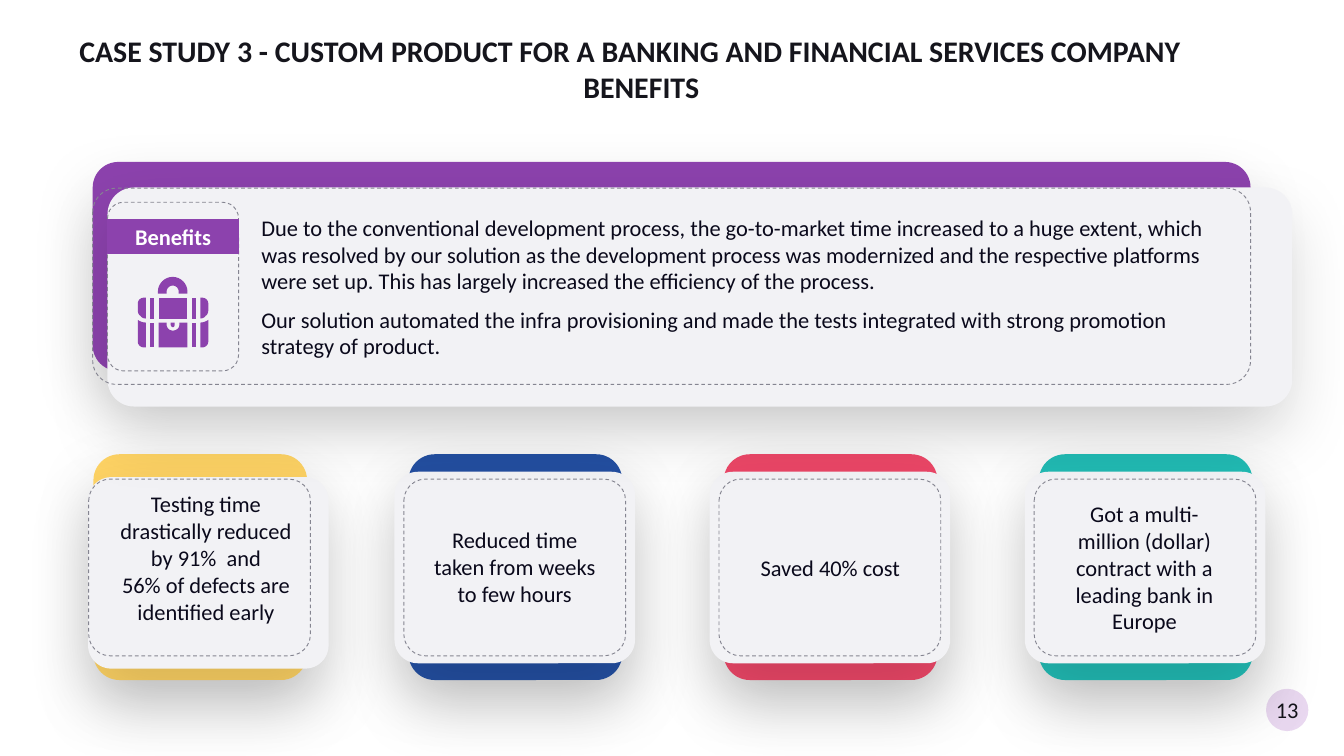
from lxml import etree
from pptx import Presentation
from pptx.dml.color import RGBColor
from pptx.enum import dml, shapes, text
from pptx.oxml import ns
from pptx.util import Inches, Pt

INK = RGBColor(0x15, 0x15, 0x1C)
BODY = RGBColor(0x0A, 0x09, 0x1B)
WHITE = RGBColor(0xFF, 0xFF, 0xFF)
PANEL = RGBColor(0xF2, 0xF2, 0xF5)
DASH = RGBColor(0x85, 0x85, 0x91)
PURPLE = RGBColor(0x8C, 0x42, 0xAD)
LILAC = RGBColor(0xE9, 0xD8, 0xF0)
YELLOW = RGBColor(0xFF, 0xD4, 0x65)
BLUE = RGBColor(0x24, 0x50, 0xA3)
RED = RGBColor(0xEF, 0x48, 0x69)
TEAL = RGBColor(0x22, 0xBD, 0xB6)

FONT = "Calibri"
CORNER = 0.122
CARD_PITCH = 4.69

# Each card: colour, paragraphs, offset of the front panel, then text box.
CARDS = [
    (YELLOW, ["Testing time drastically reduced by 91%  and",
              "56% of defects are identified early"],
     (-0.08, 0.34), (0.11, 0.43, 3.13, 2.22)),
    (BLUE, ["Reduced time taken from weeks to few hours"],
     (-0.21, 0.26), (0.15, 0.97, 2.86, 1.41)),
    (RED, ["Saved 40% cost"],
     (-0.21, 0.26), (0.1, 1.38, 2.97, 0.61)),
    (TEAL, ["Got a multi-million (dollar) contract with a leading bank in Europe"],
     (-0.21, 0.26), (0.16, 0.57, 2.82, 2.22)),
]

BENEFITS = [
    "Due to the conventional development process, the go-to-market time increased "
    "to a huge extent, which was resolved by our solution as the development process "
    "was modernized and the respective platforms were set up. This has largely "
    "increased the efficiency of the process.",
    "Our solution automated the infra provisioning and made the tests integrated "
    "with strong promotion strategy of product.",
]

# Icon outlines: a pair is a line to that point, six numbers are a Bézier curve.
SIDE_PARTS = [
    [(0.18, 0.31), (0.18, 0.62), (0.24, 0.62), (0.24, 0.31)],
    [(0.18, 0.68), (0.18, 1.05), (0.24, 1.05), (0.24, 0.68)],
    [(0.09, 0.31), (0.04, 0.31, 0, 0.35, 0, 0.4), (0, 0.49),
     (0, 0.53, 0.01, 0.56, 0.04, 0.58), (0.06, 0.61, 0.09, 0.62, 0.12, 0.62),
     (0.12, 0.31)],
    [(0, 0.64), (0, 0.96), (0, 1.01, 0.04, 1.05, 0.09, 1.05), (0.12, 1.05),
     (0.12, 0.68), (0.07, 0.68, 0.03, 0.66, 0, 0.64)],
]
MIDDLE_PARTS = [
    [(0.31, 0.31), (0.31, 0.62), (0.74, 0.62), (0.74, 0.31)],
    [(0.31, 0.68), (0.31, 1.05), (0.74, 1.05), (0.74, 0.68), (0.62, 0.68),
     (0.62, 0.71), (0.62, 0.77, 0.57, 0.8, 0.52, 0.8),
     (0.47, 0.8, 0.43, 0.76, 0.43, 0.71), (0.43, 0.68)],
    [(0.49, 0.68), (0.49, 0.71), (0.49, 0.73, 0.51, 0.75, 0.52, 0.75),
     (0.54, 0.75, 0.55, 0.73, 0.55, 0.71), (0.55, 0.68)],
    [(0.52, 0), (0.4, 0, 0.3, 0.1, 0.3, 0.22), (0.3, 0.25), (0.43, 0.25),
     (0.43, 0.22), (0.43, 0.17, 0.47, 0.13, 0.52, 0.13),
     (0.57, 0.13, 0.61, 0.17, 0.61, 0.22), (0.61, 0.25), (0.74, 0.25),
     (0.74, 0.22), (0.74, 0.1, 0.64, 0, 0.52, 0)],
]


def add_soft_shadow(shape):
    shape.shadow.inherit = False
    effects = shape._element.spPr.find(ns.qn("a:effectLst"))
    shadow = etree.SubElement(effects, ns.qn("a:outerShdw"), blurRad=str(Pt(70)),
                              dist=str(Pt(30)), dir="5400000", algn="t",
                              rotWithShape="0")
    color = etree.SubElement(shadow, ns.qn("a:srgbClr"), val="000000")
    etree.SubElement(color, ns.qn("a:alpha"), val="15000")


def add_shape(slide, kind, left, top, width, height, fill):
    shape = slide.shapes.add_shape(kind, Inches(left), Inches(top),
                                   Inches(width), Inches(height))
    shape.shadow.inherit = False
    shape.line.fill.background()
    if fill is None:
        shape.fill.background()
    else:
        shape.fill.solid()
        shape.fill.fore_color.rgb = fill
    return shape


def add_rounded(slide, left, top, width, height, fill=None):
    """Add a shadowed panel; without a fill it gets a dashed outline."""
    shape = add_shape(slide, shapes.MSO_SHAPE.ROUNDED_RECTANGLE,
                      left, top, width, height, fill)
    shape.adjustments[0] = CORNER
    add_soft_shadow(shape)
    if fill is None:
        shape.line.color.rgb = DASH
        shape.line.width = Pt(1)
        shape.line.dash_style = dml.MSO_LINE.DASH


def write(shape, paragraphs, color=BODY, size=24, bold=False,
          align=text.PP_ALIGN.CENTER, anchor=text.MSO_ANCHOR.MIDDLE,
          inset=(0.2, 0.1), spacing=0):
    frame = shape.text_frame
    frame.word_wrap = True
    frame.vertical_anchor = anchor
    frame.margin_left = frame.margin_right = Inches(inset[0])
    frame.margin_top = frame.margin_bottom = Inches(inset[1])
    frame.text = "\n".join(paragraphs)
    for paragraph in frame.paragraphs:
        paragraph.alignment = align
        paragraph.space_before = paragraph.space_after = Pt(spacing)
        paragraph.font.name = FONT
        paragraph.font.size = Pt(size)
        paragraph.font.bold = bold
        paragraph.font.color.rgb = color


def add_text(slide, left, top, width, height, paragraphs, **style):
    box = slide.shapes.add_textbox(Inches(left), Inches(top),
                                   Inches(width), Inches(height))
    write(box, paragraphs, **style)
    return box


def add_title(slide, left, top, width, height):
    title = add_text(
        slide, left, top, width, height,
        ["CASE STUDY 3 - CUSTOM PRODUCT FOR A BANKING AND FINANCIAL SERVICES COMPANY",
         "BENEFITS"],
        color=INK, size=32, bold=True, align=text.PP_ALIGN.LEFT,
        anchor=text.MSO_ANCHOR.TOP, inset=(0, 0))
    second_line = title.text_frame.paragraphs[1]
    second_line._p.get_or_add_pPr().set("marL", str(Inches(7.5)))


def flatten(outline, steps=8):
    """Turn an outline with Bézier curves into a list of points."""
    points = [outline[0]]
    for segment in outline[1:]:
        if len(segment) == 2:
            points.append(segment)
            continue
        x0, y0 = points[-1]
        x1, y1, x2, y2, x3, y3 = segment
        for step in range(1, steps + 1):
            t = step / steps
            a, b, c, d = (1 - t) ** 3, 3 * t * (1 - t) ** 2, 3 * t * t * (1 - t), t ** 3
            points.append((a * x0 + b * x1 + c * x2 + d * x3,
                           a * y0 + b * y1 + c * y2 + d * y3))
    return points


def add_briefcase(slide, left, top, width):
    sides = [flatten(part) for part in SIDE_PARTS]
    mirrored = [[(width - x, y) for x, y in part] for part in sides]
    group = slide.shapes.add_group_shape()
    for part in sides + mirrored + [flatten(part) for part in MIDDLE_PARTS]:
        points = [(Inches(left + x), Inches(top + y)) for x, y in part]
        builder = group.shapes.build_freeform(*points[0])
        builder.add_line_segments(points[1:], close=True)
        shape = builder.convert_to_shape()
        shape.shadow.inherit = False
        shape.fill.solid()
        shape.fill.fore_color.rgb = PURPLE
        shape.line.fill.background()


def add_benefits_panel(slide, left, top, width, height):
    add_rounded(slide, left, top, width, height, PURPLE)
    add_rounded(slide, left + 0.22, top + 0.38, width + 0.4, height + 0.15, PANEL)
    add_text(slide, left + 2.31, top + 0.66, 14.7, 2.39, BENEFITS,
             align=text.PP_ALIGN.LEFT, spacing=6)
    add_rounded(slide, left, top + 0.39, width, 2.92)
    add_rounded(slide, left + 0.22, top + 0.6, 1.95, 2.51)
    add_briefcase(slide, left + 0.67, top + 1.71, 1.05)
    label = add_shape(slide, shapes.MSO_SHAPE.RECTANGLE,
                      left + 0.22, top + 0.85, 1.95, 0.51, PURPLE)
    label.line.color.rgb = PURPLE
    label.line.width = Pt(1)
    write(label, ["Benefits"], color=WHITE, bold=True, inset=(0.1, 0.05))


def add_card(slide, left, top, color, paragraphs, front, text_box):
    add_rounded(slide, left, top, 3.18, 3.36, color)
    add_rounded(slide, left + front[0], top + front[1], 3.58, 2.85, PANEL)
    x, y, width, height = text_box
    add_text(slide, left + x, top + y, width, height, paragraphs)
    add_rounded(slide, left - 0.07, top + 0.37, 3.3, 2.63)


def add_page_number(slide, left, top, diameter):
    badge = add_shape(slide, shapes.MSO_SHAPE.OVAL, left, top, diameter, diameter, LILAC)
    write(badge, ["13"], color=INK, inset=(0, 0.04))


def main():
    presentation = Presentation()
    presentation.slide_width = Inches(20)
    presentation.slide_height = Inches(11.25)
    slide = presentation.slides.add_slide(presentation.slide_layouts[6])
    add_page_number(slide, 18.84, 10.25, 0.63)
    add_title(slide, 1.18, 0.49, 17.21, 1.47)
    for index, card in enumerate(CARDS):
        add_card(slide, 1.39 + index * CARD_PITCH, 6.76, *card)
    add_benefits_panel(slide, 1.38, 2.41, 17.23, 3.11)
    presentation.save("out.pptx")


if __name__ == "__main__":
    main()
